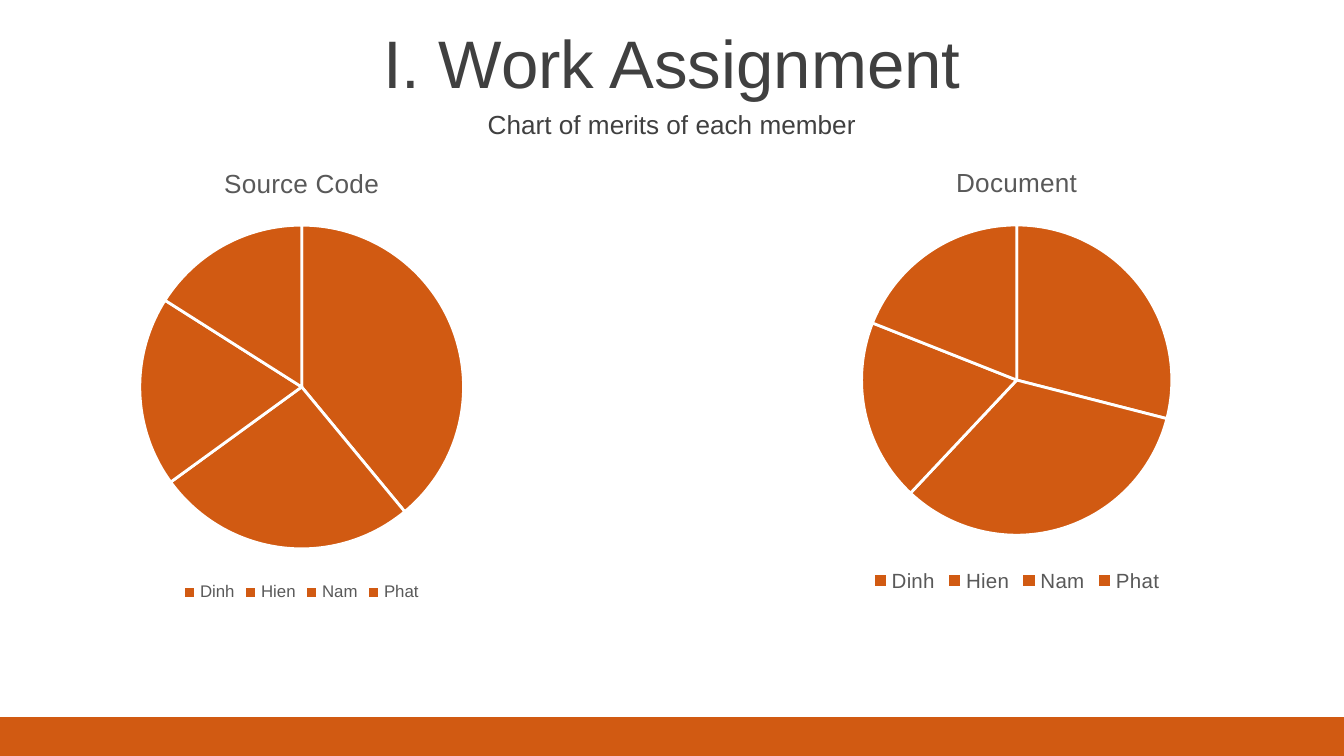
from pptx import Presentation
from pptx.chart.data import CategoryChartData
from pptx.dml.color import RGBColor
from pptx.enum.chart import XL_CHART_TYPE, XL_LEGEND_POSITION
from pptx.enum.shapes import MSO_SHAPE
from pptx.enum.text import MSO_ANCHOR, PP_ALIGN
from pptx.util import Inches, Pt

PIE = XL_CHART_TYPE.PIE
BOTTOM = XL_LEGEND_POSITION.BOTTOM
RECTANGLE = MSO_SHAPE.RECTANGLE
MIDDLE = MSO_ANCHOR.MIDDLE
CENTER = PP_ALIGN.CENTER

WIDTH = 10
HEIGHT = WIDTH * 9 / 16
FONT = "Arial"
COLORS = {"accent": "D15A12", "heading": "404040", "label": "595959", "gap": "FFFFFF"}
MEMBERS = ["Dinh", "Hien", "Nam", "Phat"]
HEADING_TOP, HEADING_HEIGHT = 0.14, 0.63
SUBTITLE_TOP, SUBTITLE_HEIGHT = HEADING_TOP + HEADING_HEIGHT, 0.31
CHARTS_TOP = SUBTITLE_TOP + SUBTITLE_HEIGHT
FOOTER_HEIGHT = 0.29
MERITS = [
    ("Source Code", [39, 26, 19, 16], (0.31, CHARTS_TOP, 3.87, 3.44), 9),
    ("Document", [29, 33, 19, 19], (5.83, CHARTS_TOP, 3.47, 3.37), 11),
]


def color(name):
    return RGBColor.from_string(COLORS[name])


def style_font(font, size, color_name):
    font.name = FONT
    font.size = Pt(size)
    font.bold = False
    font.color.rgb = color(color_name)


def write_line(holder, box, text, size):
    holder.left, holder.top, holder.width, holder.height = map(Inches, box)
    frame = holder.text_frame
    frame.word_wrap = True
    frame.vertical_anchor = MIDDLE
    paragraph = frame.paragraphs[0]
    paragraph.alignment = CENTER
    run = paragraph.add_run()
    run.text = text
    style_font(run.font, size, "heading")


def add_header(slide):
    write_line(slide.shapes.title, (0, HEADING_TOP, WIDTH, HEADING_HEIGHT),
               "I. Work Assignment", 36)
    subtitle_box = (0, SUBTITLE_TOP, WIDTH, SUBTITLE_HEIGHT)
    subtitle = slide.shapes.add_textbox(*map(Inches, subtitle_box))
    write_line(subtitle, subtitle_box, "Chart of merits of each member", 14)


def add_merit_pie(slide, box, name, shares, legend_size):
    merits = CategoryChartData()
    merits.categories = MEMBERS
    merits.add_series(name, shares)
    chart = slide.shapes.add_chart(PIE, *map(Inches, box), merits).chart
    chart.font.name = FONT
    chart.font.size = Pt(10)

    chart.has_title = True
    heading = chart.chart_title.text_frame.paragraphs[0].add_run()
    heading.text = name
    style_font(heading.font, 14, "label")
    chart.chart_title.include_in_layout = False

    chart.has_legend = True
    chart.legend.position = BOTTOM
    chart.legend.include_in_layout = False
    style_font(chart.legend.font, legend_size, "label")

    plot = chart.plots[0]
    plot.vary_by_categories = True
    for index in range(len(MEMBERS)):
        member_slice = plot.series[0].points[index].format
        member_slice.fill.solid()
        member_slice.fill.fore_color.rgb = color("accent")
        member_slice.line.color.rgb = color("gap")
        member_slice.line.width = Pt(1.5)


def add_footer(slide, box):
    band = slide.shapes.add_shape(RECTANGLE, *map(Inches, box))
    band.shadow.inherit = False
    band.fill.solid()
    band.fill.fore_color.rgb = color("accent")
    band.line.fill.background()


def main():
    deck = Presentation()
    deck.slide_width, deck.slide_height = Inches(WIDTH), Inches(HEIGHT)
    slide = deck.slides.add_slide(deck.slide_layouts[5])
    add_footer(slide, (0, HEIGHT - FOOTER_HEIGHT, WIDTH, FOOTER_HEIGHT))
    add_header(slide)
    for name, shares, box, legend_size in MERITS:
        add_merit_pie(slide, box, name, shares, legend_size)
    deck.save("out.pptx")


if __name__ == "__main__":
    main()
